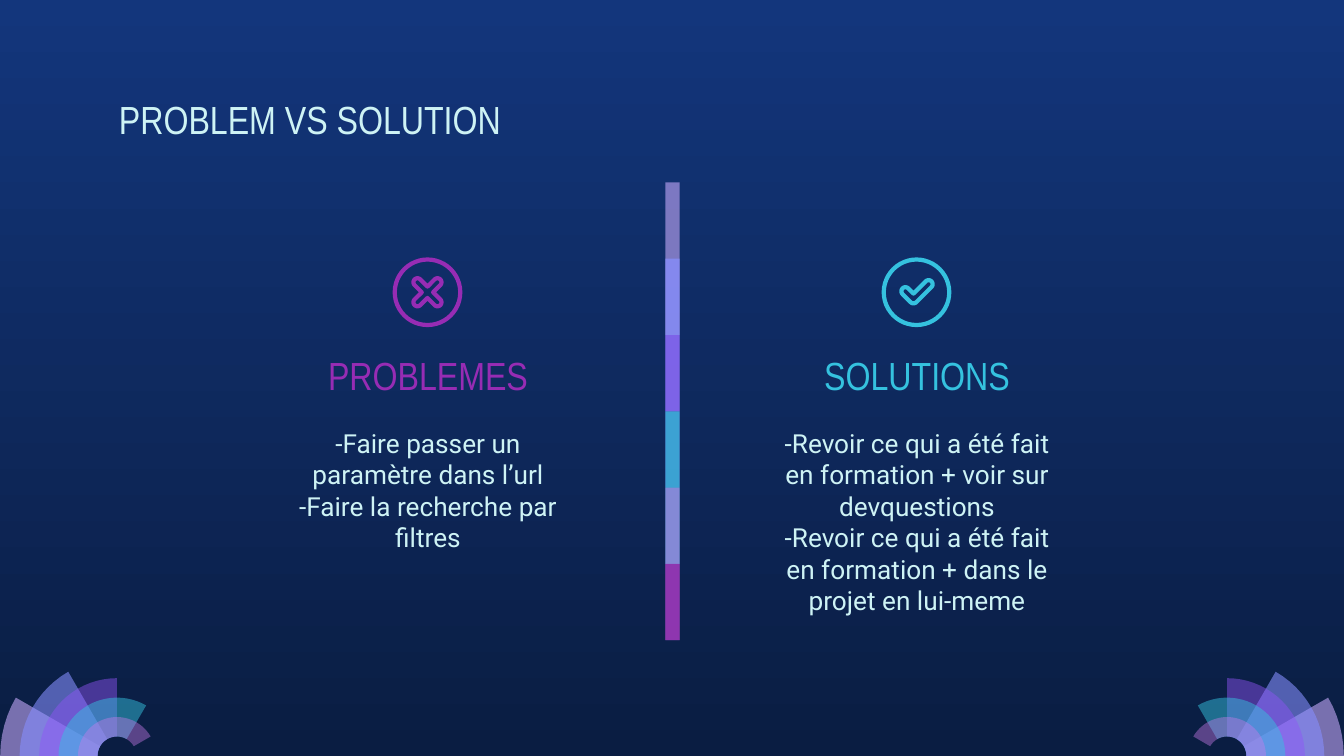
from math import cos, radians, sin, sqrt

from lxml import etree
from pptx import Presentation
from pptx.dml.color import RGBColor
from pptx.enum.shapes import MSO_SHAPE
from pptx.enum.text import MSO_ANCHOR, PP_ALIGN
from pptx.oxml.ns import qn
from pptx.util import Inches, Pt

RECTANGLE, OVAL = MSO_SHAPE.RECTANGLE, MSO_SHAPE.OVAL
TOP, MIDDLE = MSO_ANCHOR.TOP, MSO_ANCHOR.MIDDLE
LEFT, CENTER = PP_ALIGN.LEFT, PP_ALIGN.CENTER

COLORS = {
    "sky": "13367C", "night": "0A1D42", "text": "CEF3F5",
    "lilac": "C8ACFD", "periwinkle": "878FFF", "violet": "9154F8",
    "cyan": "35C2DF", "orchid": "CA7BEB", "purple": "972CB4",
}
HEADING_FONT, BODY_FONT = "Arial Narrow", "Roboto"
SLIDE_WIDTH, SLIDE_HEIGHT = 13.33, 7.5
FAN_CENTER, FAN_STEP = 1.16, 0.193
FAN_BLADES = [("lilac", 58), ("periwinkle", 58), ("violet", 46), ("cyan", 49), ("orchid", 42)]
BARS = [("lilac", 59), ("periwinkle", 74), ("violet", 53), ("cyan", 76), ("orchid", 56), ("purple", 74)]
ICON_RADIUS, ICON_STROKE, ICON_Y = 0.325, 3, 2.9
ARM_RADIUS = 0.04
NOTCH = ARM_RADIUS * sqrt(2)
COLUMNS = [
    (2.68, "PROBLEMES", "purple",
     ["-Faire passer un paramètre dans l’url", "-Faire la recherche par filtres"]),
    (7.53, "SOLUTIONS", "cyan",
     ["-Revoir ce qui a été fait en formation + voir sur devquestions",
      "-Revoir ce qui a été fait en formation + dans le projet en lui-meme"]),
]


def color(name):
    """Return the named colour."""
    return RGBColor.from_string(COLORS[name])


def paint_background(slide):
    """Fill the slide with a vertical gradient."""
    fill = slide.background.fill
    fill.gradient()
    fill.gradient_angle = 270
    for stop, name, position in zip(fill.gradient_stops, ("sky", "night"), (0, 1)):
        stop.color.rgb = color(name)
        stop.position = position


def fill_shape(shape, name, opacity):
    """Give a shape a translucent fill without a line."""
    shape.shadow.inherit = False
    shape.line.fill.background()
    shape.fill.solid()
    shape.fill.fore_color.rgb = color(name)
    fill_color = shape.fill._xPr.find(qn("a:solidFill"))[0]
    etree.SubElement(fill_color, qn("a:alpha"), val=str(opacity * 1000))


def outline_shape(shape, name):
    """Give a shape a line without a fill."""
    shape.shadow.inherit = False
    shape.fill.background()
    shape.line.color.rgb = color(name)
    shape.line.width = Pt(ICON_STROKE)


def arc(center_x, center_y, radius, start, end):
    """Return points on an arc, with clockwise angles in degrees."""
    steps = max(1, round(abs(end - start) / 5))
    angles = [radians(start + (end - start) * step / steps) for step in range(steps + 1)]
    return [(center_x + radius * cos(angle), center_y + radius * sin(angle)) for angle in angles]


def add_polygon(slide, points):
    """Draw a closed outline through points in inches."""
    corners = [(Inches(x), Inches(y)) for x, y in points]
    builder = slide.shapes.build_freeform(*corners[0])
    builder.add_line_segments(corners[1:], close=True)
    return builder.convert_to_shape()


def add_fan(slide, mirrored):
    """Draw a corner fan whose blades get shorter and wider."""
    for index, (name, opacity) in enumerate(FAN_BLADES):
        end = 180 + 30 * (index + 1)
        outer = FAN_STEP * (len(FAN_BLADES) + 1 - index)
        points = arc(FAN_CENTER, SLIDE_HEIGHT, outer, 180, end)
        points += arc(FAN_CENTER, SLIDE_HEIGHT, FAN_STEP, end, 180)
        if mirrored:
            points = [(SLIDE_WIDTH - x, y) for x, y in points]
        fill_shape(add_polygon(slide, points), name, opacity)


def add_divider(slide):
    """Draw the overlapping bars between the columns."""
    pitch = 0.757
    for index, (name, opacity) in enumerate(BARS):
        height = pitch if index == len(BARS) - 1 else 2 * pitch
        bar = slide.shapes.add_shape(
            RECTANGLE, Inches(6.6), Inches(1.81 + index * pitch), Inches(0.14), Inches(height))
        fill_shape(bar, name, opacity)


def cross_points(x, y):
    """Return the outline of a rounded cross."""
    points = []
    for angle in range(45, 360, 90):
        turn, notch_turn = radians(angle), radians(angle + 45)
        points += arc(x + 0.14 * cos(turn), y + 0.14 * sin(turn), ARM_RADIUS, angle - 90, angle + 90)
        points.append((x + NOTCH * cos(notch_turn), y + NOTCH * sin(notch_turn)))
    return points


def check_points(x, y):
    """Return the outline of a rounded check mark."""
    vertex_x, vertex_y = x - 0.03, y + 0.07
    return (arc(vertex_x + 0.15, vertex_y - 0.15, ARM_RADIUS, -135, 45)
            + arc(vertex_x, vertex_y, ARM_RADIUS, 45, 135)
            + arc(vertex_x - 0.08, vertex_y - 0.08, ARM_RADIUS, 135, 315)
            + [(vertex_x, vertex_y - NOTCH)])


def add_icon(slide, center_x, name, mark_points):
    """Draw a ring with a mark in it."""
    ring = slide.shapes.add_shape(
        OVAL, Inches(center_x - ICON_RADIUS), Inches(ICON_Y - ICON_RADIUS),
        Inches(2 * ICON_RADIUS), Inches(2 * ICON_RADIUS))
    outline_shape(ring, name)
    outline_shape(add_polygon(slide, mark_points(center_x, ICON_Y)), name)


def add_text(slide, box, lines, font, size, name, alignment, anchor, spacing):
    """Add a text box with one paragraph for each line."""
    frame = slide.shapes.add_textbox(*map(Inches, box)).text_frame
    frame.word_wrap = True
    frame.vertical_anchor = anchor
    frame.margin_left = frame.margin_right = Inches(0.13)
    frame.margin_top = frame.margin_bottom = Inches(0.13)
    for index, line in enumerate(lines):
        paragraph = frame.add_paragraph() if index else frame.paragraphs[0]
        paragraph.alignment = alignment
        paragraph.line_spacing = spacing
        run = paragraph.add_run()
        run.text = line
        run.font.name = font
        run.font.size = Pt(size)
        run.font.color.rgb = color(name)


def add_heading(slide, box, text, name, alignment):
    """Add a one-line heading."""
    add_text(slide, box, [text], HEADING_FONT, 28, name, alignment, MIDDLE, 0.9)


def main():
    """Build and save the slide."""
    presentation = Presentation()
    presentation.slide_width = Inches(SLIDE_WIDTH)
    presentation.slide_height = Inches(SLIDE_HEIGHT)
    slide = presentation.slides.add_slide(presentation.slide_layouts[6])
    paint_background(slide)
    for mirrored in (False, True):
        add_fan(slide, mirrored)
    add_divider(slide)
    add_heading(slide, (1.05, 0.79, 11.23, 0.84), "PROBLEM VS SOLUTION", "text", LEFT)
    for (left, title, name, lines), mark_points in zip(COLUMNS, (cross_points, check_points)):
        add_icon(slide, left + 1.56, name, mark_points)
        add_heading(slide, (left, 3.33, 3.13, 0.84), title, name, CENTER)
        add_text(slide, (left, 4.11, 3.13, 1.5), lines, BODY_FONT, 18.7, "text", CENTER, TOP, 1.0)
    presentation.save("out.pptx")


main()
